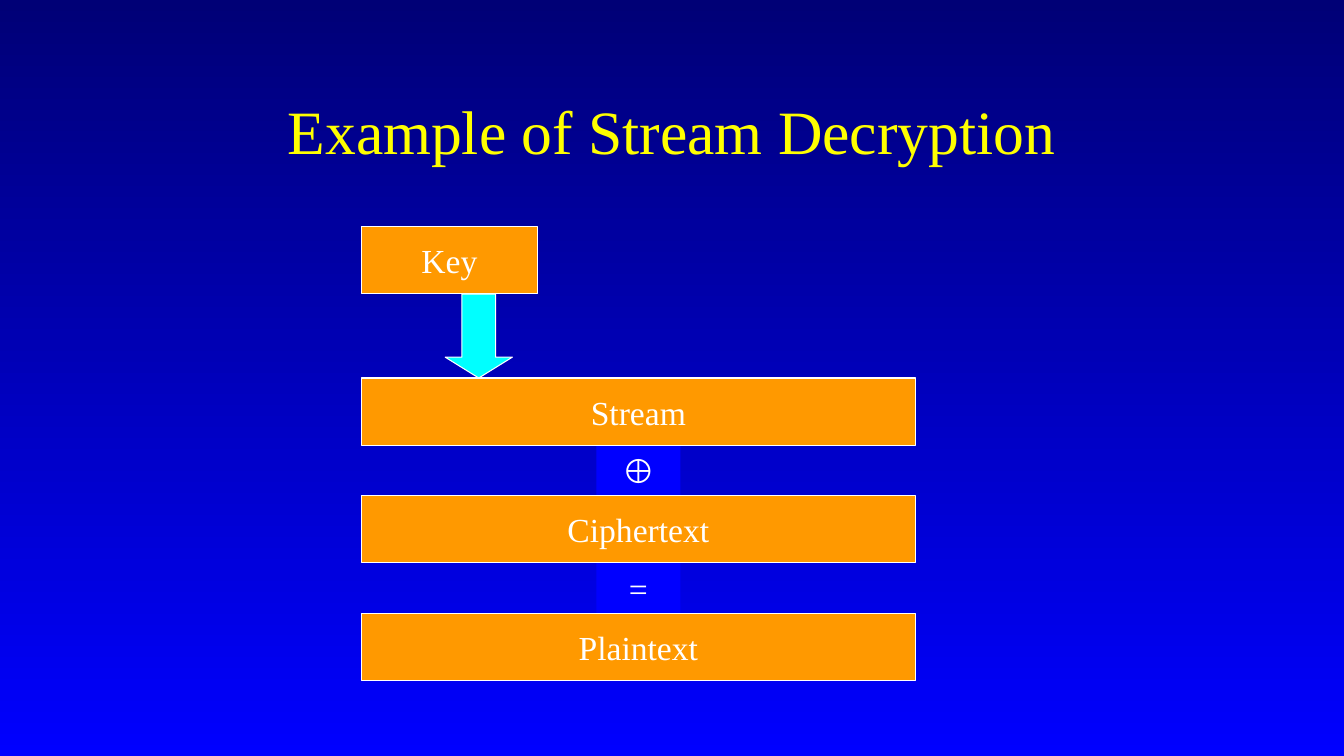
import pptx
import pptx.dml.color
import pptx.enum.shapes
import pptx.enum.text
import pptx.util

PX = pptx.util.Inches(1) // 96
SHAPE = pptx.enum.shapes.MSO_SHAPE
FONT = "Times New Roman"
ORANGE, CYAN, BLUE, WHITE, YELLOW = "FF9900", "00FFFF", "0000FF", "FFFFFF", "FFFF00"
BAR_H, GAP_H = 64, 48


def color(hex_text):
    """Return the colour for a hex string."""
    return pptx.dml.color.RGBColor.from_string(hex_text)


def set_text(sp, text, size, hex_text):
    """Write one centred line of text in a shape."""
    tf = sp.text_frame
    tf.text = text
    tf.vertical_anchor = pptx.enum.text.MSO_ANCHOR.MIDDLE
    p = tf.paragraphs[0]
    p.alignment = pptx.enum.text.PP_ALIGN.CENTER
    p.font.name = FONT
    p.font.size = pptx.util.Pt(size)
    p.font.color.rgb = color(hex_text)


def add_box(slide, kind, box, fill, text="", outlined=True):
    """Add a filled shape, with a thin white outline if asked."""
    sp = slide.shapes.add_shape(kind, *(n * PX for n in box))
    sp.shadow.inherit = False
    sp.fill.solid()
    sp.fill.fore_color.rgb = color(fill)
    if outlined:
        sp.line.color.rgb = color(WHITE)
        sp.line.width = pptx.util.Pt(0.75)
    else:
        sp.line.fill.background()
    if text:
        set_text(sp, text, 24, WHITE)
        sp.text_frame.word_wrap = False
    return sp


def add_background(slide):
    """Fill the slide with a gradient from dark blue down to blue."""
    fill = slide.background.fill
    fill.gradient()
    fill.gradient_angle = 270
    for stop, hex_text in zip(fill.gradient_stops, ("000076", BLUE)):
        stop.color.rgb = color(hex_text)


def add_title(slide, box, text):
    """Place and format the title."""
    sp = slide.shapes.title
    sp.left, sp.top, sp.width, sp.height = (n * PX for n in box)
    set_text(sp, text, 44, YELLOW)


def add_key(slide, box):
    """Add the key and the arrow that fills the rest of the box below it."""
    left, top, width, height = box
    add_box(slide, SHAPE.RECTANGLE, (left, top, width, BAR_H), ORANGE, "Key")
    arrow_box = (left + 80, top + BAR_H, 64, height - BAR_H)
    arrow = add_box(slide, SHAPE.DOWN_ARROW, arrow_box, CYAN)
    arrow.adjustments[1] = 0.31


def add_equation(slide, box, bars, operators):
    """Stack the bars with an operator centred in each gap."""
    left, top, width = box
    step = BAR_H + GAP_H
    op_w = 80
    op_left = left + (width - op_w) // 2
    for i, text in enumerate(operators):
        op_box = (op_left, top + i * step + BAR_H, op_w, GAP_H)
        add_box(slide, SHAPE.RECTANGLE, op_box, BLUE, text, outlined=False)
    for i, text in enumerate(bars):
        bar_box = (left, top + i * step, width, BAR_H)
        add_box(slide, SHAPE.RECTANGLE, bar_box, ORANGE, text)


def main():
    """Build the slide and save it."""
    prs = pptx.Presentation()
    prs.slide_width, prs.slide_height = 1280 * PX, 720 * PX
    slide = prs.slides.add_slide(prs.slide_layouts[5])
    add_background(slide)
    add_title(slide, (96, 64, 1088, 120), "Example of Stream Decryption")
    add_equation(slide, (344, 360, 528), ("Stream", "Ciphertext", "Plaintext"), "⊕=")
    add_key(slide, (344, 216, 168, 144))
    prs.save("out.pptx")


if __name__ == "__main__":
    main()
